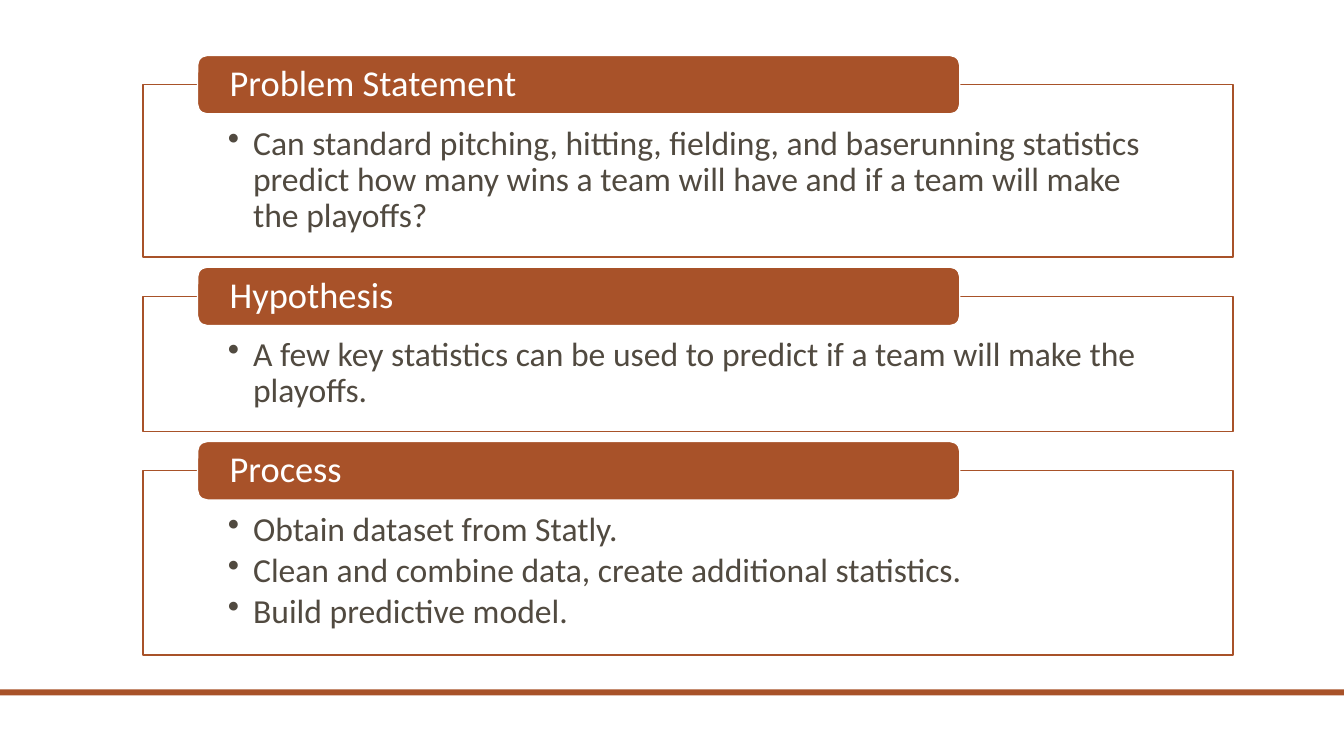
import pptx
import pptx.dml.color
import pptx.enum.shapes
import pptx.enum.text
import pptx.oxml.ns
import pptx.util
from lxml import etree

Inches = pptx.util.Inches
Pt = pptx.util.Pt
Shapes = pptx.enum.shapes.MSO_SHAPE
Anchor = pptx.enum.text.MSO_ANCHOR

COLORS = {"rust": "A85229", "white": "FFFFFF", "text": "514A40"}
FONT = "Calibri"

# Heading, frame height, bullet texts
SECTIONS = [
    ("Problem Statement", 1.71, [
        "Can standard pitching, hitting, fielding, and baserunning statistics "
        "predict how many wins a team will have and if a team will make the playoffs?"]),
    ("Hypothesis", 1.34, [
        "A few key statistics can be used to predict if a team will make the playoffs."]),
    ("Process", 1.83, [
        "Obtain dataset from Statly.",
        "Clean and combine data, create additional statistics.",
        "Build predictive model."]),
]
FRAME_LEFT, FRAME_TOP, FRAME_WIDTH = 1.42, 0.84, 10.81
SECTION_GAP = 0.39
HEADING_OFFSET, HEADING_WIDTH, HEADING_HEIGHT = 0.54, 7.56, 0.58


def color(name):
    return pptx.dml.color.RGBColor.from_string(COLORS[name])


def add_box(slide, kind, box, fill, line=None):
    shape = slide.shapes.add_shape(kind, *(Inches(length) for length in box))
    shape.shadow.inherit = False
    shape.fill.solid()
    shape.fill.fore_color.rgb = color(fill)
    if line:
        shape.line.color.rgb = color(line)
        shape.line.width = Pt(1)
    else:
        shape.line.fill.background()
    return shape


def set_text(shape, texts, size, color_name, insets, anchor, space_after):
    """Fill the shape with left-aligned paragraphs; insets run left, top, right, bottom."""
    frame = shape.text_frame
    frame.word_wrap = True
    frame.vertical_anchor = anchor
    (frame.margin_left, frame.margin_top,
     frame.margin_right, frame.margin_bottom) = (Inches(inset) for inset in insets)
    for index, text in enumerate(texts):
        paragraph = frame.add_paragraph() if index else frame.paragraphs[0]
        paragraph.alignment = pptx.enum.text.PP_ALIGN.LEFT
        paragraph.line_spacing = 0.9
        paragraph.space_after = Pt(space_after)
        run = paragraph.add_run()
        run.text = text
        run.font.name = FONT
        run.font.size = Pt(size)
        run.font.color.rgb = color(color_name)


def add_bullet(paragraph):
    properties = paragraph._p.get_or_add_pPr()
    properties.set("marL", str(Inches(0.25)))
    properties.set("indent", str(Inches(-0.25)))
    bullet = etree.SubElement(properties, pptx.oxml.ns.qn("a:buChar"))
    bullet.set("char", "•")


def add_section(slide, box, heading, bullets):
    """Draw a framed bullet list with a heading tab centred on its top edge."""
    left, top, width, height = box
    frame = add_box(slide, Shapes.RECTANGLE, box, "white", "rust")
    fill_color = frame.fill._xPr.find(".//" + pptx.oxml.ns.qn("a:srgbClr"))
    etree.SubElement(fill_color, pptx.oxml.ns.qn("a:alpha")).set("val", "90000")
    set_text(frame, bullets, 24, "text", (0.84, 0.41, 0.84, 0.19), Anchor.TOP, 3.6)
    for paragraph in frame.text_frame.paragraphs:
        add_bullet(paragraph)

    tab_box = (left + HEADING_OFFSET, top - HEADING_HEIGHT / 2, HEADING_WIDTH, HEADING_HEIGHT)
    tab = add_box(slide, Shapes.ROUNDED_RECTANGLE, tab_box, "rust", "white")
    set_text(tab, [heading], 26, "white", (0.29, 0, 0.29, 0), Anchor.MIDDLE, 0)


def main():
    presentation = pptx.Presentation()
    presentation.slide_width = Inches(13.33)
    presentation.slide_height = Inches(7.5)
    slide = presentation.slides.add_slide(presentation.slide_layouts[6])

    add_box(slide, Shapes.RECTANGLE, (0, 6.84, 13.33, 0.06), "rust")
    top = FRAME_TOP
    for heading, height, bullets in SECTIONS:
        add_section(slide, (FRAME_LEFT, top, FRAME_WIDTH, height), heading, bullets)
        top += height + SECTION_GAP

    presentation.save("out.pptx")


if __name__ == "__main__":
    main()
